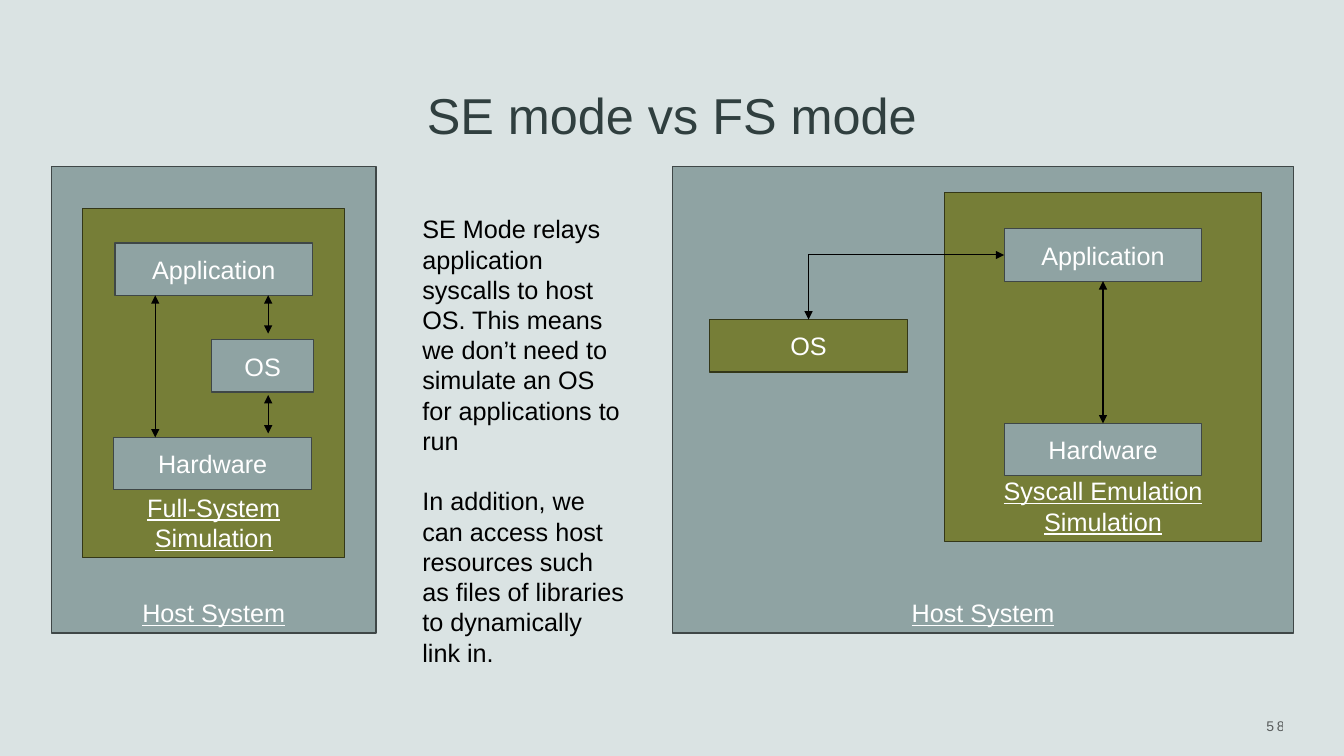
from lxml.etree import SubElement
from pptx import Presentation
from pptx.dml.color import RGBColor
from pptx.enum.shapes import MSO_CONNECTOR as LINK, MSO_SHAPE as SHAPE
from pptx.enum.text import MSO_ANCHOR as ANCHOR, PP_ALIGN as ALIGN
from pptx.oxml.ns import qn
from pptx.util import Pt

PX = 9144
SLATE = ("8FA3A3", "3F4747")
OLIVE = ("767E37", "343718")
PART_W, PART_H = 196, 52


def px(*lengths):
    return [length * PX for length in lengths]


def paint(color, value):
    color.rgb = RGBColor.from_string(value)


def write(para, text, size, color, align=ALIGN.LEFT, underline=None):
    para.alignment = align
    span = para.add_run()
    span.text = text
    span.font.name = "Arial"
    span.font.size = Pt(size)
    span.font.underline = underline
    paint(span.font.color, color)
    return span


def add_title(page, text, left, top, width, height):
    title = page.shapes.title
    title.left, title.top, title.width, title.height = px(left, top, width, height)
    title.text_frame.vertical_anchor = ANCHOR.BOTTOM
    write(title.text_frame.paragraphs[0], text, 36, "303F3F", ALIGN.CENTER)


def add_box(page, text, colors, left, top, width, height, anchor, underline=None):
    box = page.shapes.add_shape(SHAPE.RECTANGLE, *px(left, top, width, height))
    box.shadow.inherit = False
    fill, edge = colors
    box.fill.solid()
    paint(box.fill.fore_color, fill)
    paint(box.line.color, edge)
    box.line.width = Pt(0.85)
    frame = box.text_frame
    frame.word_wrap = True
    frame.vertical_anchor = anchor
    write(frame.paragraphs[0], text, 18, "FFFFFF", ALIGN.CENTER, underline)


def add_system(page, text, colors, left, top, width, height):
    add_box(page, text, colors, left, top, width, height, ANCHOR.BOTTOM, True)


def add_part(page, text, left, top, width=PART_W, colors=SLATE):
    add_box(page, text, colors, left, top, width, PART_H, ANCHOR.MIDDLE)


def add_arrow(page, x1, y1, x2, y2, kind=LINK.STRAIGHT):
    arrow = page.shapes.add_connector(kind, *px(x1, y1, x2, y2))
    paint(arrow.line.color, "000000")
    arrow.line.width = Pt(0.75)
    properties = arrow._element.spPr
    for end in ("a:headEnd", "a:tailEnd"):
        SubElement(properties.find(qn("a:ln")), qn(end), type="triangle")
    SubElement(properties, qn("a:effectLst"))
    return arrow


def add_corner_arrow(page, x1, y1, x2, y2):
    arrow = add_arrow(page, x1, y1, x2, y2, LINK.ELBOW)
    arrow._element.spPr.find(qn("a:prstGeom")).set("prst", "bentConnector2")


def add_text(page, left, top, width, height):
    box = page.shapes.add_textbox(*px(left, top, width, height))
    box.text_frame.word_wrap = True
    return box.text_frame


def add_explanation(page, texts, left, top, width, height):
    frame = add_text(page, left, top, width, height)
    for index, text in enumerate(texts):
        para = frame.add_paragraph() if index else frame.paragraphs[0]
        if index:
            para.space_before = Pt(21.6)
        write(para, text, 18, "000000")


def add_page_number(page, text, left, top, width, height):
    frame = add_text(page, left, top, width, height)
    frame.vertical_anchor = ANCHOR.MIDDLE
    span = write(frame.paragraphs[0], text, 10, "000000", ALIGN.RIGHT)
    properties = span._r.get_or_add_rPr()
    properties.set("spc", "200")
    color = properties.find(qn("a:solidFill")).find(qn("a:srgbClr"))
    SubElement(color, qn("a:alpha"), val="60000")


def add_full_system(page):
    add_system(page, "Host System", SLATE, 51, 165, 322, 463)
    add_system(page, "Full-System Simulation", OLIVE, 82, 207, 260, 346)
    add_part(page, "Hardware", 113, 434)
    add_part(page, "OS", 210, 337, 101)
    add_part(page, "Application", 114, 241)
    add_arrow(page, 154, 293, 154, 434)
    for top in (293, 392):
        add_arrow(page, 266, top, 266, top + 38)


def add_syscall_emulation(page):
    add_system(page, "Host System", SLATE, 667, 165, 616, 463)
    add_system(page, "Syscall Emulation Simulation", OLIVE, 937, 191, 314, 346)
    add_part(page, "Hardware", 996, 420)
    add_part(page, "OS", 704, 317, colors=OLIVE)
    add_part(page, "Application", 996, 227)
    add_corner_arrow(page, 996, 253, 802, 317)
    add_arrow(page, 1094, 279, 1094, 420)


def main():
    deck = Presentation()
    deck.slide_width, deck.slide_height = px(1333, 750)
    page = deck.slides.add_slide(deck.slide_layouts[5])
    page.background.fill.solid()
    paint(page.background.fill.fore_color, "DAE3E3")
    add_title(page, "SE mode vs FS mode", 108, 76, 1117, 72)
    add_full_system(page)
    add_syscall_emulation(page)
    add_explanation(page, [
        "SE Mode relays application syscalls to host OS. This means we "
        "don’t need to simulate an OS for applications to run",
        "In addition, we can access host resources such as files of "
        "libraries to dynamically link in.",
    ], 409, 207, 222, 404)
    add_page_number(page, "58", 1092, 695, 192, 50)
    deck.save("out.pptx")


if __name__ == "__main__":
    main()
